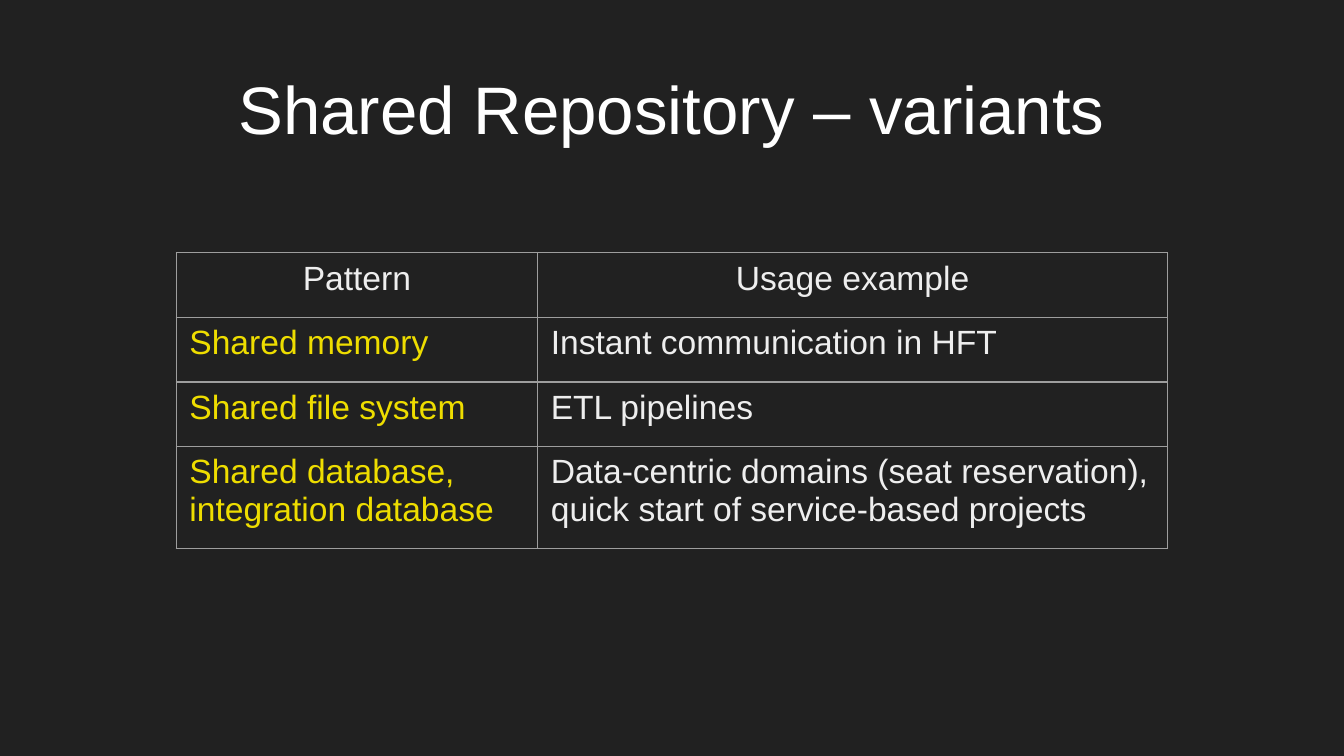
from typing import NamedTuple

from lxml.etree import SubElement
from pptx import Presentation
from pptx.dml.color import RGBColor
from pptx.enum.text import MSO_ANCHOR, PP_ALIGN
from pptx.oxml.ns import qn
from pptx.util import Cm, Pt

BACKGROUND = RGBColor(0x21, 0x21, 0x21)
WHITE = RGBColor(0xFF, 0xFF, 0xFF)
LIGHT = RGBColor(0xEE, 0xEE, 0xEE)
YELLOW = RGBColor(0xEE, 0xDD, 0x00)
BORDER = RGBColor(0x9E, 0x9E, 0x9E)

COLUMN_WIDTHS = (Cm(6.83), Cm(11.91))
TITLE_INSETS = dict.fromkeys(
    ("margin_left", "margin_right", "margin_top", "margin_bottom"), Cm(0.25))
CELL_INSETS = {"margin_left": Cm(0.25), "margin_right": Cm(0.25),
               "margin_top": Cm(0.13), "margin_bottom": Cm(0.13)}


class Variant(NamedTuple):
    pattern: str
    usage: str
    height: Cm = Cm(1.22)


HEADER = Variant("Pattern", "Usage example")
VARIANTS = (
    Variant("Shared memory", "Instant communication in HFT"),
    Variant("Shared file system", "ETL pipelines"),
    Variant("Shared database, integration database",
            "Data-centric domains (seat reservation), "
            "quick start of service-based projects", Cm(1.93)),
)


def set_attributes(target, values: dict) -> None:
    for name, value in values.items():
        setattr(target, name, value)


def write_text(tf, text: str, size: int, color: RGBColor, align: PP_ALIGN) -> None:
    p = tf.paragraphs[0]
    p.alignment = align
    r = p.add_run()
    r.text = text
    set_attributes(r.font, {"name": "Arial", "size": Pt(size)})
    r.font.color.rgb = color


def add_borders(cell) -> None:
    """Outline the cell; call before its fill is set, as lines come first."""
    tc_pr = cell._tc.get_or_add_tcPr()
    for side in ("lnL", "lnR", "lnT", "lnB"):
        line = SubElement(tc_pr, qn(f"a:{side}"), w=str(Pt(0.75)))
        fill = SubElement(line, qn("a:solidFill"))
        SubElement(fill, qn("a:srgbClr"), val=str(BORDER))


def add_title(slide, text: str) -> None:
    sp = slide.shapes.add_textbox(Cm(0.86), Cm(1.24), Cm(23.67), Cm(1.6))
    tf = sp.text_frame
    set_attributes(tf, {"word_wrap": True, "vertical_anchor": MSO_ANCHOR.MIDDLE,
                        **TITLE_INSETS})
    write_text(tf, text, 36, WHITE, PP_ALIGN.CENTER)


def add_variant_table(slide) -> None:
    variants = (HEADER, *VARIANTS)
    table = slide.shapes.add_table(
        len(variants), len(COLUMN_WIDTHS), Cm(3.33), Cm(4.78),
        sum(COLUMN_WIDTHS), sum(v.height for v in variants)).table
    set_attributes(table, {"first_row": False, "horz_banding": False})
    for column, width in zip(table.columns, COLUMN_WIDTHS):
        column.width = width
    for row, variant in zip(table.rows, variants):
        row.height = variant.height
        is_header = variant is HEADER
        align = PP_ALIGN.CENTER if is_header else PP_ALIGN.LEFT
        colors = (LIGHT if is_header else YELLOW, LIGHT)
        texts = (variant.pattern, variant.usage)
        for cell, text, color in zip(row.cells, texts, colors):
            set_attributes(cell, CELL_INSETS)
            add_borders(cell)
            cell.fill.background()
            write_text(cell.text_frame, text, 18, color, align)


def main() -> None:
    prs = Presentation()
    set_attributes(prs, {"slide_width": Cm(25.4), "slide_height": Cm(14.29)})
    s = prs.slides.add_slide(prs.slide_layouts[6])
    s.background.fill.solid()
    s.background.fill.fore_color.rgb = BACKGROUND
    add_title(s, "Shared Repository – variants")
    add_variant_table(s)
    prs.save("out.pptx")


if __name__ == "__main__":
    main()
